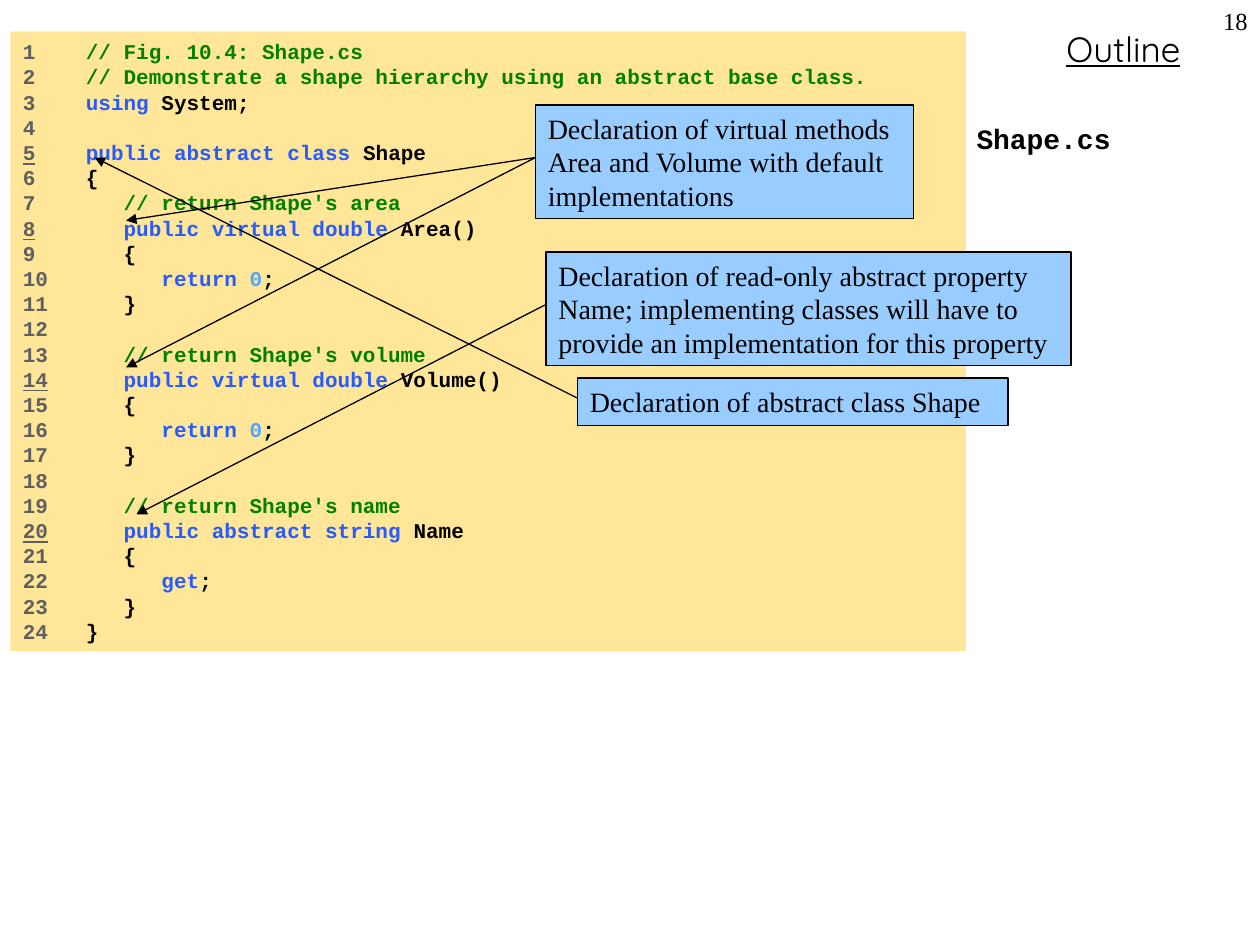
import pptx
import pptx.util
import pptx.dml.color
import pptx.enum.shapes
import pptx.enum.text
import pptx.oxml.ns
from lxml import etree

Pt = pptx.util.Pt
ALIGN = pptx.enum.text.PP_ALIGN
ANCHOR = pptx.enum.text.MSO_ANCHOR

BLACK, CODE_FILL, CALLOUT_FILL = "000000", "FFE699", "99CCFF"
COMMENT, KEYWORD, NUMBER, PLAIN, LINE_NO = "008000", "275AFF", "4DA6FF", BLACK, "5F5F5F"

# One entry per code line: (text, colour) pieces
OPEN, CLOSE = [("   {", PLAIN)], [("   }", PLAIN)]
RETURN_ZERO = [("      return ", KEYWORD), ("0", NUMBER), (";", PLAIN)]
CODE = [
    [("// Fig. 10.4: Shape.cs", COMMENT)],
    [("// Demonstrate a shape hierarchy using an abstract base class.", COMMENT)],
    [("using", KEYWORD), (" System;", PLAIN)],
    [],
    [("public abstract class", KEYWORD), (" Shape", PLAIN)],
    [("{", PLAIN)],
    [("   // return Shape's area", COMMENT)],
    [("   public virtual double", KEYWORD), (" Area()", PLAIN)],
    OPEN,
    RETURN_ZERO,
    CLOSE,
    [],
    [("   // return Shape's volume", COMMENT)],
    [("   public virtual double", KEYWORD), (" Volume()", PLAIN)],
    OPEN,
    RETURN_ZERO,
    CLOSE,
    [],
    [("   // return Shape's name", COMMENT)],
    [("   public abstract string", KEYWORD), (" Name", PLAIN)],
    OPEN,
    [("      get", KEYWORD), (";", PLAIN)],
    CLOSE,
    [("}", PLAIN)],
]
UNDERLINED_LINES = {5, 8, 14, 20}

# (text, (left, top, width, height), arrow start height, arrow tips)
CALLOUTS = [
    ("Declaration of abstract class Shape",
     (330, 216, 246, 27), 227.5, [(54, 90)]),
    ("Declaration of virtual methods Area and Volume with default implementations",
     (306, 60, 216, 65), 90, [(72, 126), (72, 210)]),
    ("Declaration of read-only abstract property Name; implementing classes "
     "will have to provide an implementation for this property",
     (312, 144, 300, 65), 174, [(78, 294)]),
]

# (text, (left, top, width, height), font, size, alignment, bold, underline, left inset)
LABELS = [
    ("Outline", (564, 12, 156, 32), "Quicksand", 20, ALIGN.CENTER, False, True, 7.2),
    ("Shape.cs", (558, 66, 162, 432), "Courier New", 16, ALIGN.LEFT, True, False, 0),
    ("18", (684, 0, 36, 36), "Times New Roman", 14, ALIGN.RIGHT, False, False, 7.2),
]


def rgb(value):
    return pptx.dml.color.RGBColor.from_string(value)


def set_font(font, name, size, bold=False, underline=False):
    font.name, font.size = name, Pt(size)
    font.bold, font.underline = bold, underline
    font.color.rgb = rgb(BLACK)


def add_panel(shapes, box, fill, outline=None):
    panel = shapes.add_shape(pptx.enum.shapes.MSO_SHAPE.RECTANGLE, *map(Pt, box))
    panel.shadow.inherit = False
    panel.fill.solid()
    panel.fill.fore_color.rgb = rgb(fill)
    if outline:
        panel.line.color.rgb = rgb(outline)
        panel.line.width = Pt(0.75)
    else:
        panel.line.fill.background()
    panel.text_frame.word_wrap = True
    panel.text_frame.vertical_anchor = ANCHOR.TOP
    return panel


def add_label(shapes, text, box, font, size, align, bold, underline, inset):
    frame = shapes.add_textbox(*map(Pt, box)).text_frame
    frame.word_wrap = True
    frame.margin_left = Pt(inset)
    line = frame.paragraphs[0]
    line.text, line.alignment = text, align
    set_font(line.font, font, size, bold, underline)


def add_code(shapes):
    frame = add_panel(shapes, (6, 18, 546, 354), CODE_FILL).text_frame
    frame.vertical_anchor = ANCHOR.MIDDLE
    for number, pieces in enumerate(CODE, 1):
        line = frame.paragraphs[0] if number == 1 else frame.add_paragraph()
        line.alignment, line.line_spacing = ALIGN.LEFT, Pt(14.4)
        set_font(line.font, "Courier New", 12, bold=True)
        label = str(number)
        gap = [(" " * (5 - len(label)), LINE_NO)] if pieces else []
        for text, colour in [(label, LINE_NO)] + gap + pieces:
            run = line.add_run()
            run.text = text
            run.font.color.rgb = rgb(colour)
        line.runs[0].font.underline = number in UNDERLINED_LINES


def add_arrow(shapes, start, tip):
    arrow = shapes.add_connector(pptx.enum.shapes.MSO_CONNECTOR.STRAIGHT,
                                 *map(Pt, start + tip))
    arrow.line.color.rgb = rgb(BLACK)
    arrow.line.width = Pt(0.75)
    qn = pptx.oxml.ns.qn
    etree.SubElement(arrow.line._get_or_add_ln(), qn("a:tailEnd"), type="triangle")
    etree.SubElement(arrow._element.spPr, qn("a:effectLst"))


def main():
    deck = pptx.Presentation()
    deck.slide_width, deck.slide_height = Pt(720), Pt(540)
    shapes = deck.slides.add_slide(deck.slide_layouts[6]).shapes

    for label in LABELS:
        add_label(shapes, *label)
    add_code(shapes)
    for text, box, start_y, tips in CALLOUTS:
        note = add_panel(shapes, box, CALLOUT_FILL, BLACK).text_frame.paragraphs[0]
        note.text, note.alignment = text, ALIGN.LEFT
        set_font(note.font, "Times New Roman", 16)
        for tip in tips:
            add_arrow(shapes, (box[0], start_y), tip)

    deck.save("out.pptx")


if __name__ == "__main__":
    main()
